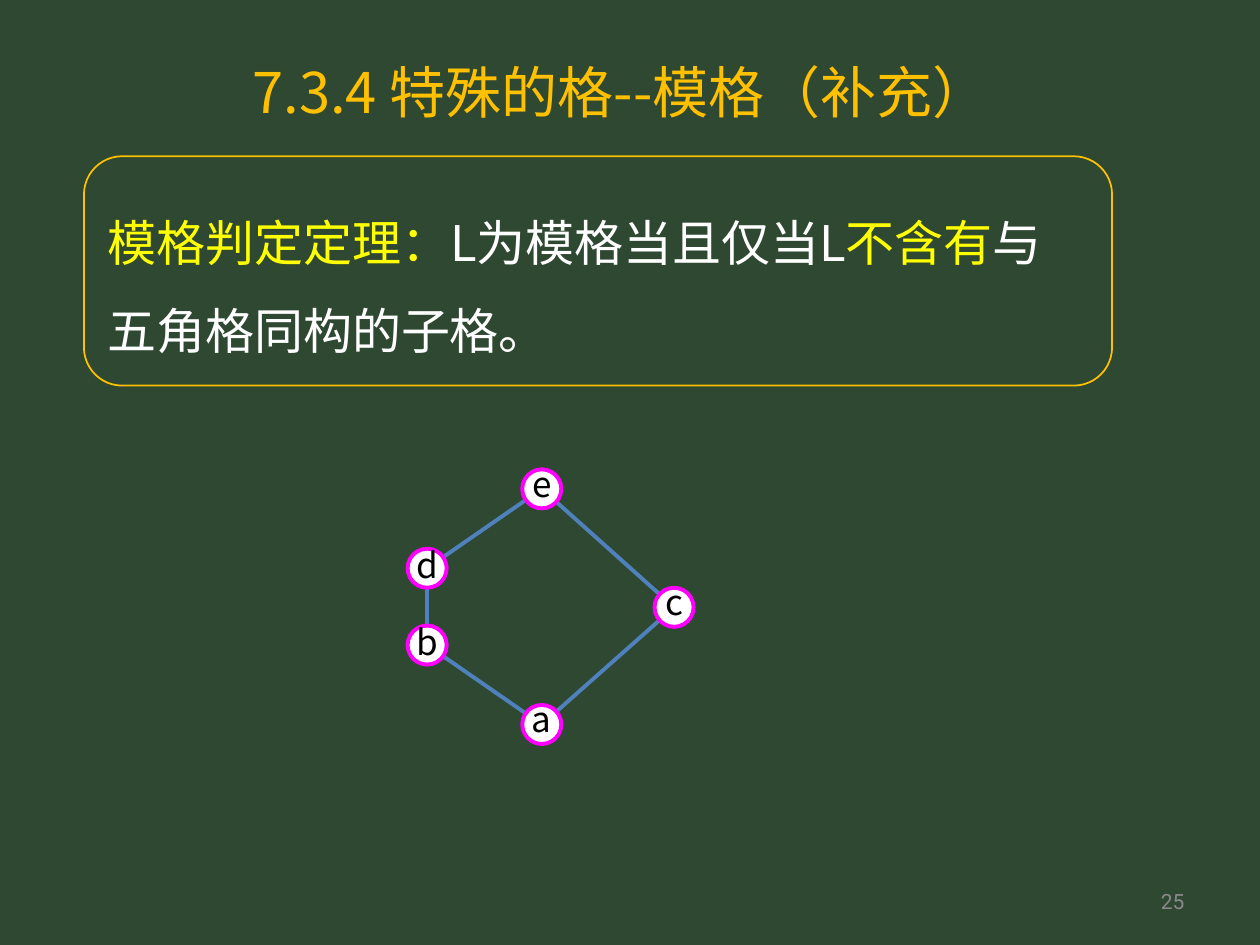
from lxml import etree
from pptx import Presentation, util as u
from pptx.dml.color import RGBColor
from pptx.enum import shapes, text
from pptx.oxml.ns import qn

# Content
COLORS = {"board": "2F4832", "gold": "FFC000", "yellow": "FFFF00", "white": "FFFFFF",
          "black": "000000", "gray": "898989", "edge": "4F81BD", "ring": "FF00FF"}
CJK, LATIN = "Noto Sans CJK SC", "Roboto"
TITLE = [("7.3.4 特殊的格--模格（补充）", "gold")]
THEOREM = [("模格判定定理：", "yellow"), ("L为模格当且仅当L", "white"),
           ("不含有", "yellow"), ("与五角格同构的子格。", "white")]
PAGE = [("25", "gray")]

# Pentagon lattice: centre x, centre y, top and bottom text inset
NODES = {"e": (4.3, 3.88, 0.05, 0.14), "d": (3.39, 4.51, 0.05, 0.11),
         "b": (3.39, 5.12, 0.05, 0.1), "c": (5.35, 4.82, 0, 0.1),
         "a": (4.3, 5.75, 0, 0.1)}
EDGES = ["ec", "ed", "db", "ba", "ca"]
NODE_SIZE = 0.31
WIDTH, HEIGHT = 10, 7.5
LEFT = WIDTH / 15


def color(name):
    return RGBColor.from_string(COLORS[name])


def inches(*values):
    return [u.Inches(value) for value in values]


def write(shape, runs, size, font=CJK, align=text.PP_ALIGN.LEFT,
          insets=(0.1, 0.05, 0.1, 0.05), wrap=True, spacing=None):
    frame = shape.text_frame
    frame.word_wrap = wrap
    frame.vertical_anchor = text.MSO_ANCHOR.MIDDLE
    frame.margin_left, frame.margin_top, frame.margin_right, frame.margin_bottom = inches(*insets)
    paragraph = frame.paragraphs[0]
    paragraph.alignment = align
    paragraph.line_spacing = spacing
    for words, shade in runs:
        run = paragraph.add_run()
        run.text = words
        run.font.size = u.Pt(size)
        run.font.color.rgb = color(shade)
        run.font.name = font
        etree.SubElement(run.font._element, qn("a:ea")).set("typeface", font)


def outline(shape, shade, width):
    shape.shadow.inherit = False
    shape.line.color.rgb = color(shade)
    shape.line.width = u.Pt(width)


presentation = Presentation()
presentation.slide_width, presentation.slide_height = inches(WIDTH, HEIGHT)
slide = presentation.slides.add_slide(presentation.slide_layouts[6])
slide.background.fill.solid()
slide.background.fill.fore_color.rgb = color("board")

# Page number and title
page = slide.shapes.add_textbox(*inches(7.17, 6.95, 2.33, 0.4))
write(page, PAGE, 12, LATIN, text.PP_ALIGN.RIGHT)
title = slide.shapes.add_textbox(*inches(LEFT, 0.36, 8.52, 0.73))
write(title, TITLE, 32, align=text.PP_ALIGN.CENTER)

# Theorem box
theorem = slide.shapes.add_shape(shapes.MSO_SHAPE.ROUNDED_RECTANGLE,
                                 *inches(LEFT, 1.24, 8.16, 1.82))
theorem.fill.background()
outline(theorem, "gold", 1)
write(theorem, THEOREM, 28, spacing=1.5)

# Edges run between node centres, beneath the nodes
for start, end in EDGES:
    edge = slide.shapes.add_connector(shapes.MSO_CONNECTOR.STRAIGHT,
                                      *inches(*NODES[start][:2], *NODES[end][:2]))
    edge.line.color.rgb = color("edge")
    edge.line.width = u.Pt(2.25)
    etree.SubElement(edge._element.spPr, qn("a:effectLst"))

# Nodes
for name, (x, y, top, bottom) in NODES.items():
    node = slide.shapes.add_shape(
        shapes.MSO_SHAPE.OVAL,
        *inches(x - NODE_SIZE / 2, y - NODE_SIZE / 2, NODE_SIZE, NODE_SIZE))
    node.fill.solid()
    node.fill.fore_color.rgb = color("white")
    outline(node, "ring", 2.25)
    write(node, [(name, "black")], 20, align=text.PP_ALIGN.CENTER,
          insets=(0.1, top, 0.1, bottom), wrap=False)

presentation.save("out.pptx")
